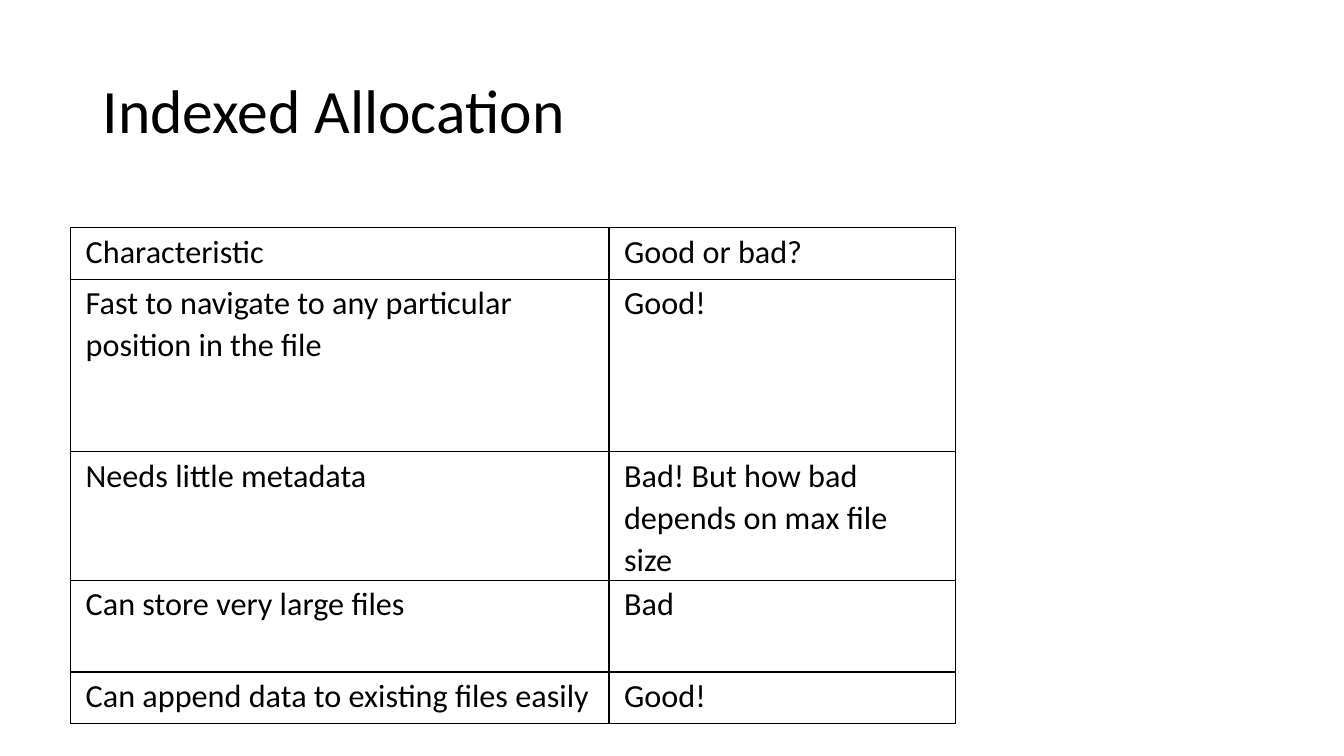
from dataclasses import dataclass

from lxml.etree import SubElement
from pptx import Presentation
from pptx.dml.color import RGBColor
from pptx.enum.text import MSO_ANCHOR
from pptx.oxml.ns import qn
from pptx.slide import Slide
from pptx.table import _Cell
from pptx.text.text import TextFrame
from pptx.util import Pt

EMU_PER_PX = 9144


@dataclass(frozen=True)
class Theme:
    font: str = "Calibri"
    ink: str = "000000"
    title_size: int = 44
    table_size: int = 23
    title_spacing: float = 0.9
    table_spacing: float = 1.07
    border_width: int = 1


@dataclass(frozen=True)
class Trait:
    characteristic: str
    verdict: str
    height: int


THEME = Theme()
COLUMN_WIDTHS = (534, 344)
TRAITS = (
    Trait("Characteristic", "Good or bad?", 51),
    Trait("Fast to navigate to any particular position in the file", "Good!", 171),
    Trait("Needs little metadata", "Bad! But how bad depends on max file size", 91),
    Trait("Can store very large files", "Bad", 91),
    Trait("Can append data to existing files easily", "Good!", 51),
)


def px(length: int) -> int:
    return length * EMU_PER_PX


def write(frame: TextFrame, text: str, size: int, spacing: float) -> None:
    paragraph = frame.paragraphs[0]
    paragraph.line_spacing = spacing
    run = paragraph.add_run()
    run.text = text
    run.font.name = THEME.font
    run.font.size = Pt(size)
    run.font.color.rgb = RGBColor.from_string(THEME.ink)


def add_borders(cell: _Cell) -> None:
    properties = cell._tc.get_or_add_tcPr()
    for side in ("a:lnL", "a:lnR", "a:lnT", "a:lnB"):
        border = SubElement(properties, qn(side), w=str(Pt(THEME.border_width)))
        fill = SubElement(border, qn("a:solidFill"))
        SubElement(fill, qn("a:srgbClr"), val=THEME.ink)


def fill_cell(cell: _Cell, text: str) -> None:
    cell.margin_left = cell.margin_right = px(15)
    cell.margin_top = px(2)
    cell.margin_bottom = 0
    add_borders(cell)
    cell.fill.background()
    write(cell.text_frame, text, THEME.table_size, THEME.table_spacing)


def add_title(slide: Slide, text: str) -> None:
    frame = slide.shapes.add_textbox(px(92), px(40), px(1150), px(145)).text_frame
    frame.word_wrap = True
    frame.vertical_anchor = MSO_ANCHOR.MIDDLE
    write(frame, text, THEME.title_size, THEME.title_spacing)


def add_traits(slide: Slide, traits: tuple[Trait, ...]) -> None:
    height = sum(trait.height for trait in traits)
    table = slide.shapes.add_table(
        len(traits), len(COLUMN_WIDTHS),
        px(70), px(226), px(sum(COLUMN_WIDTHS)), px(height),
    ).table
    table.first_row = False
    table.horz_banding = False
    for column, width in zip(table.columns, COLUMN_WIDTHS):
        column.width = px(width)
    for row, trait in zip(table.rows, traits):
        row.height = px(trait.height)
        for cell, text in zip(row.cells, (trait.characteristic, trait.verdict)):
            fill_cell(cell, text)


def main() -> None:
    presentation = Presentation()
    presentation.slide_width = px(1333)
    presentation.slide_height = px(750)
    slide = presentation.slides.add_slide(presentation.slide_layouts[6])
    add_traits(slide, TRAITS)
    add_title(slide, "Indexed Allocation")
    presentation.save("out.pptx")


if __name__ == "__main__":
    main()
